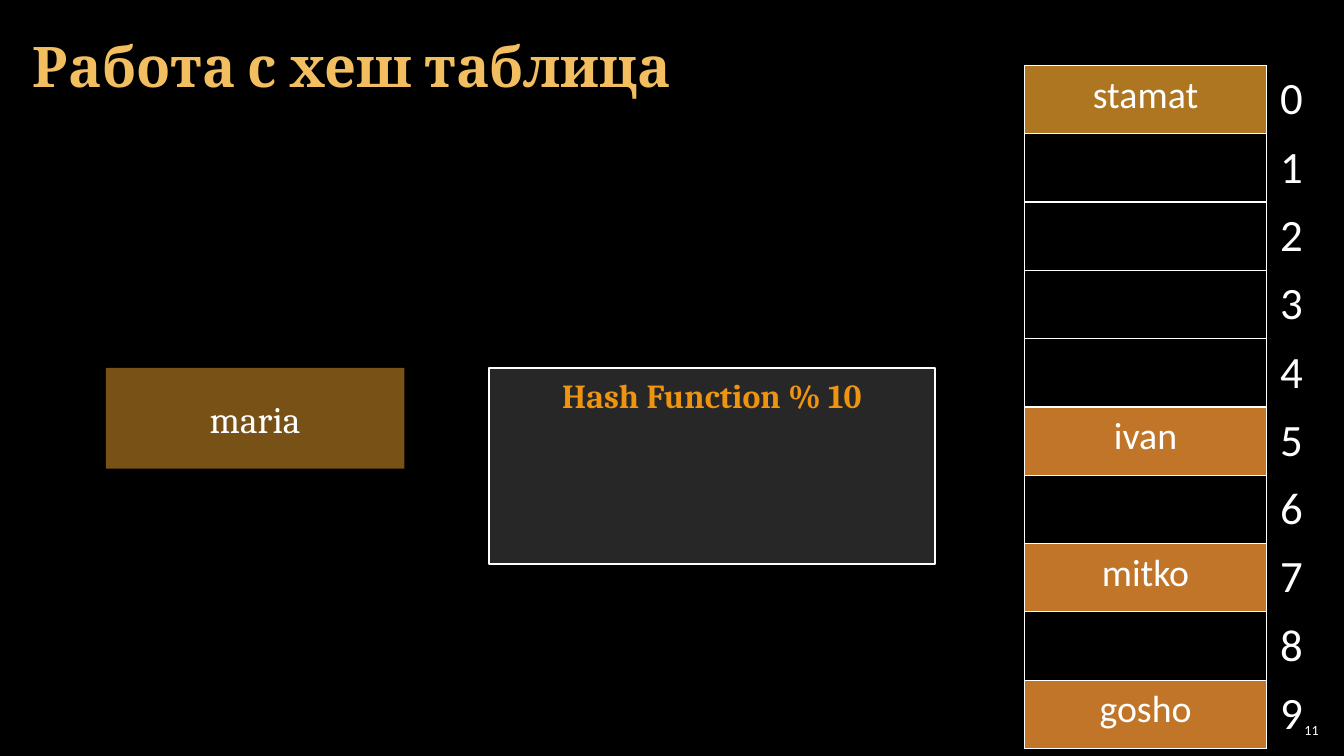
"""Builds the slide that shows names being hashed into a ten-slot table."""
from dataclasses import dataclass
from typing import Any, Optional

import lxml.etree
import pptx
import pptx.dml.color
import pptx.enum.shapes
import pptx.enum.text
import pptx.oxml.ns
import pptx.util

Cm = pptx.util.Cm
Align = pptx.enum.text.PP_ALIGN
Anchor = pptx.enum.text.MSO_ANCHOR
Shapes = pptx.enum.shapes.MSO_SHAPE
qn = pptx.oxml.ns.qn


@dataclass(frozen=True)
class Theme:
    background: str = "000000"
    text: str = "FFFFFF"
    title: str = "F3BE60"
    first_slot: str = "AF7621"
    used_slot: str = "C17529"
    key: str = "F0A22E"
    function: str = "272727"
    function_title: str = "ED9411"
    heading_font: str = "Cambria"
    body_font: str = "Calibri"
    title_size: float = 40
    index_size: float = 32
    slot_size: float = 27
    key_size: float = 26.7
    function_size: float = 24
    number_size: float = 10


@dataclass(frozen=True)
class Label:
    text: str
    size: float
    font: str
    color: str = "FFFFFF"
    bold: bool = False
    align: Any = Align.CENTER
    anchor: Any = Anchor.MIDDLE
    inset_x: float = 0.34
    inset_y: float = 0.17


@dataclass(frozen=True)
class Box:
    left: float
    top: float
    width: float
    height: float
    preset: Any
    fill: str
    label: Label
    opacity: int = 100
    line: Optional[str] = None


@dataclass(frozen=True)
class Slot:
    name: str
    fill: str


THEME = Theme()
SLOT_COUNT = 10
SLOT_HEIGHT = 1.69
COLUMN_WIDTHS = (6.1, 1.42)
SLOTS = {
    0: Slot("stamat", THEME.first_slot),
    5: Slot("ivan", THEME.used_slot),
    7: Slot("mitko", THEME.used_slot),
    9: Slot("gosho", THEME.used_slot),
}
BOXES = (
    Box(2.67, 9.27, 7.52, 2.54, Shapes.FLOWCHART_PROCESS, THEME.key,
        Label("maria", THEME.key_size, THEME.heading_font), opacity=50),
    Box(12.32, 9.27, 11.23, 4.95, Shapes.RECTANGLE, THEME.function,
        Label("Hash Function % 10", THEME.function_size, THEME.heading_font,
              THEME.function_title, bold=True, anchor=Anchor.TOP),
        line=THEME.text),
)


def rgb(color: str) -> pptx.dml.color.RGBColor:
    return pptx.dml.color.RGBColor.from_string(color)


def apply(target: Any, values: dict[str, Any]) -> None:
    for name, value in values.items():
        setattr(target, name, value)


def margins(label: Label) -> dict[str, Any]:
    x, y = Cm(label.inset_x), Cm(label.inset_y)
    return {"margin_left": x, "margin_right": x,
            "margin_top": y, "margin_bottom": y}


def write(frame: Any, label: Label) -> None:
    paragraph = frame.paragraphs[0]
    paragraph.alignment = label.align
    run = paragraph.add_run()
    run.text = label.text
    apply(run.font, {"name": label.font, "bold": label.bold,
                     "size": pptx.util.Pt(label.size)})
    run.font.color.rgb = rgb(label.color)


def write_frame(frame: Any, label: Label) -> None:
    apply(frame, {"word_wrap": True, "vertical_anchor": label.anchor,
                  **margins(label)})
    write(frame, label)


def draw_box(slide: Any, box: Box) -> None:
    shape = slide.shapes.add_shape(
        box.preset, Cm(box.left), Cm(box.top), Cm(box.width), Cm(box.height))
    shape.shadow.inherit = False
    shape.fill.solid()
    shape.fill.fore_color.rgb = rgb(box.fill)
    if box.opacity < 100:
        color = shape.element.spPr.find(qn("a:solidFill")).find(qn("a:srgbClr"))
        lxml.etree.SubElement(color, qn("a:alpha"), val=str(box.opacity * 1000))
    if box.line:
        shape.line.color.rgb = rgb(box.line)
        shape.line.width = pptx.util.Pt(1.5)
    else:
        shape.line.fill.background()
    write_frame(shape.text_frame, box.label)


def set_borders(cell: Any, visible: str) -> None:
    properties = cell._tc.get_or_add_tcPr()
    for side in "LRTB":
        border = lxml.etree.SubElement(properties, qn(f"a:ln{side}"), w="12700")
        if side in visible:
            fill = lxml.etree.SubElement(border, qn("a:solidFill"))
            lxml.etree.SubElement(fill, qn("a:srgbClr"), val=THEME.text)
        else:
            lxml.etree.SubElement(border, qn("a:noFill"))


def fill_cell(cell: Any, label: Label, borders: str, color: Optional[str]) -> None:
    apply(cell, margins(label))
    set_borders(cell, borders)
    if color:
        cell.fill.solid()
        cell.fill.fore_color.rgb = rgb(color)
    else:
        cell.fill.background()
    if label.text:
        write(cell.text_frame, label)


def draw_hash_table(slide: Any) -> None:
    table = slide.shapes.add_table(
        SLOT_COUNT, len(COLUMN_WIDTHS), Cm(25.81), Cm(1.65),
        Cm(sum(COLUMN_WIDTHS)), Cm(SLOT_HEIGHT * SLOT_COUNT)).table
    apply(table, {"first_row": False, "horz_banding": False})
    for column, width in zip(table.columns, COLUMN_WIDTHS):
        column.width = Cm(width)
    for index, row in enumerate(table.rows):
        row.height = Cm(SLOT_HEIGHT)
        slot = SLOTS.get(index)
        name = Label(slot.name if slot else "", THEME.slot_size, THEME.body_font)
        number = Label(str(index), THEME.index_size, THEME.body_font,
                       align=Align.LEFT)
        fill_cell(row.cells[0], name, "LRTB", slot.fill if slot else None)
        fill_cell(row.cells[1], number, "L", None)


def main() -> None:
    deck = pptx.Presentation()
    apply(deck, {"slide_width": Cm(33.86), "slide_height": Cm(19.05)})
    slide = deck.slides.add_slide(deck.slide_layouts[5])
    slide.background.fill.solid()
    slide.background.fill.fore_color.rgb = rgb(THEME.background)

    title = slide.shapes.title
    apply(title, {"left": Cm(0.53), "top": Cm(0.1),
                  "width": Cm(32.79), "height": Cm(3.07)})
    write_frame(title.text_frame, Label(
        "Работа с хеш таблица", THEME.title_size, THEME.heading_font,
        THEME.title, bold=True, align=Align.LEFT, inset_x=0.3, inset_y=0.1))

    draw_hash_table(slide)
    for box in BOXES:
        draw_box(slide, box)

    page_number = slide.shapes.add_textbox(Cm(32.13), Cm(18.14), Cm(1.19), Cm(0.53))
    write_frame(page_number.text_frame, Label(
        "11", THEME.number_size, THEME.body_font, align=Align.RIGHT,
        inset_x=0.1, inset_y=0.1))
    deck.save("out.pptx")


if __name__ == "__main__":
    main()
